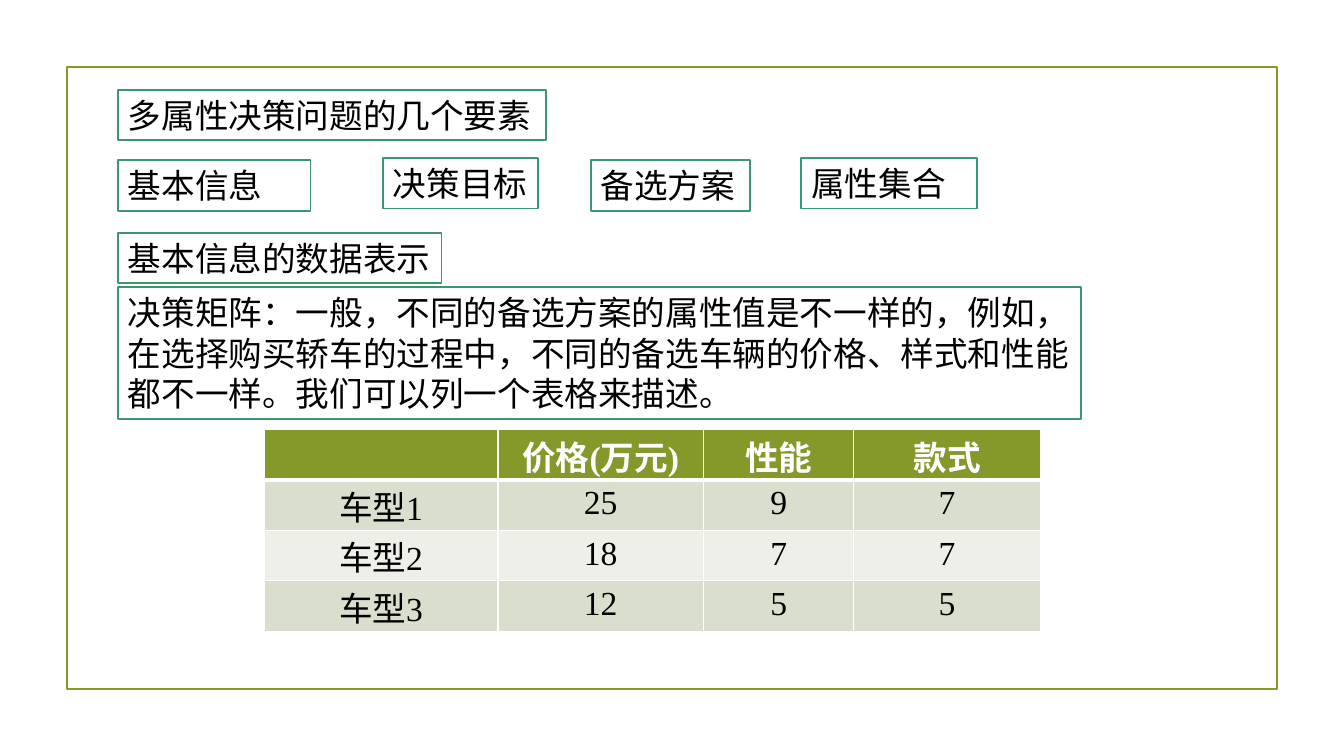
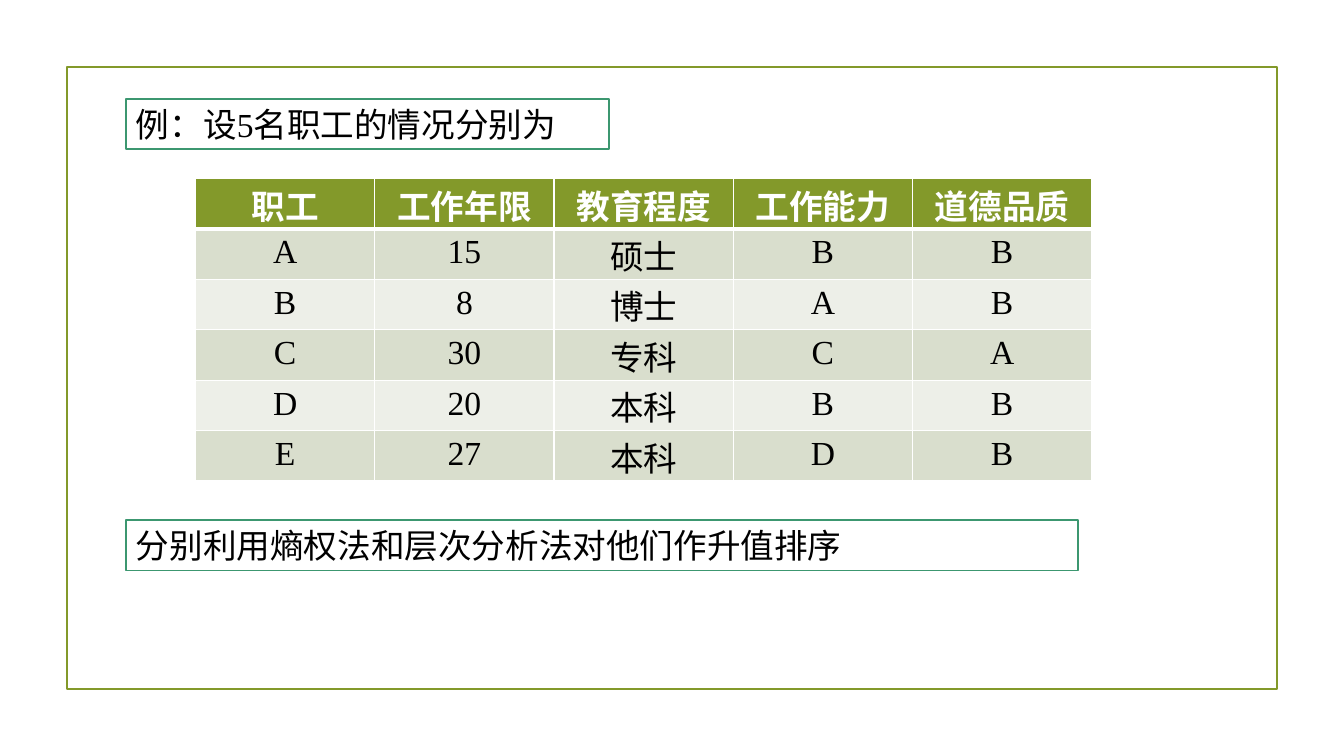
from pptx import Presentation
from pptx.dml.color import RGBColor
from pptx.enum.shapes import MSO_SHAPE
from pptx.enum.text import MSO_ANCHOR, PP_ALIGN
from pptx.oxml import parse_xml
from pptx.oxml.ns import nsdecls
from pptx.util import Inches, Pt

WIDE, HIGH = Inches(13.333), Inches(7.5)
HUES = {
    "olive": "83992A", "teal": "3C9770", "white": "FFFFFF",
    "black": "000000", "dark": "D9DECD", "light": "EDEFE8",
}
FONT = {"size": Pt(24), "name": "Times New Roman", "bold": False}
SANS = {**FONT, "name": "Noto Sans CJK JP"}
HEAD = {**FONT, "bold": True}
WRAP = {"word_wrap": True, "vertical_anchor": MSO_ANCHOR.TOP}
PLAIN = {"first_row": False, "horz_banding": False}
LOW = {"margin_top": Inches(0.1), "margin_bottom": 0}
PITCH = Pt(28.8)
LINE = 6.67

TOP = [
    ("多属性决策问题的几个要素", 8.78, 11.87, 31.88, LINE, FONT),
    ("决策目标", 28.5, 20.93, 11.55, LINE, FONT),
    ("备选方案", 43.95, 21.2, 11.85, LINE, FONT),
    ("属性集合", 59.62, 20.93, 13.05, LINE, FONT),
    ("基本信息", 8.78, 21.2, 14.33, LINE, SANS),
    ("基本信息的数据表示", 8.78, 30.8, 24.08, LINE, FONT),
    ("决策矩阵：一般，不同的备选方案的属性值是不一样的，例如，"
     "在选择购买轿车的过程中，不同的备选车辆的价格、样式和性能"
     "都不一样。我们可以列一个表格来描述。", 8.78, 38, 71.64, 17.47, FONT),
]
CARS = [
    ["", "价格(万元)", "性能", "款式"],
    ["车型1", "25", "9", "7"],
    ["车型2", "18", "7", "7"],
    ["车型3", "12", "5", "5"],
]
TASK = [
    ("例：设5名职工的情况分别为", 9.38, 13.07, 35.93, LINE, FONT),
    ("分别利用熵权法和层次分析法对他们作升值排序", 9.38, 68.8, 70.82, LINE, FONT),
]
STAFF = [
    ["职工", "工作年限", "教育程度", "工作能力", "道德品质"],
    ["A", "15", "硕士", "B", "B"],
    ["B", "8", "博士", "A", "B"],
    ["C", "30", "专科", "C", "A"],
    ["D", "20", "本科", "B", "B"],
    ["E", "27", "本科", "D", "B"],
]


def hue(name):
    """Return the named colour."""
    return RGBColor.from_string(HUES[name])


def across(share):
    """Turn a percentage of the slide's width into a length."""
    return round(WIDE * share / 100)


def down(share):
    """Turn a percentage of the slide's height into a length."""
    return round(HIGH * share / 100)


def apply(thing, look):
    """Set every attribute in a dict of format values."""
    for key, val in look.items():
        setattr(thing, key, val)


def rect(slide, x, y, w, h, edge):
    """Draw an outlined rectangle without a shadow."""
    shape = slide.shapes.add_shape(
        MSO_SHAPE.RECTANGLE, across(x), down(y), across(w), down(h))
    shape.shadow.inherit = False
    shape.line.color.rgb = hue(edge)
    shape.line.width = Pt(1.25)
    return shape


def write(para, text, look, tint, align):
    """Fill a paragraph with one styled run."""
    run = para.add_run()
    run.text = text
    apply(run.font, look)
    run.font.color.rgb = hue(tint)
    para.alignment = align
    if not text.isascii():
        para.line_spacing = PITCH


def label(slide, text, x, y, w, h, look):
    """Draw a white text box with a teal edge."""
    shape = rect(slide, x, y, w, h, "teal")
    shape.fill.solid()
    shape.fill.fore_color.rgb = hue("white")
    apply(shape.text_frame, WRAP)
    write(shape.text_frame.paragraphs[0], text, look, "black", PP_ALIGN.LEFT)


def rule(cell, row):
    """Give a cell white borders, thick below the header row."""
    thick = {("T", 1), ("B", 0)}
    props = cell._tc.get_or_add_tcPr()
    for side in "LRTB":
        width = Pt(3 if (side, row) in thick else 1)
        props.append(parse_xml(
            f'<a:ln{side} {nsdecls("a")} w="{width}"><a:solidFill>'
            f'<a:srgbClr val="{HUES["white"]}"/></a:solidFill></a:ln{side}>'))


def paint(cell, text, row):
    """Style one table cell according to its row."""
    rule(cell, row)
    cell.fill.solid()
    band = "dark" if row % 2 else "light"
    cell.fill.fore_color.rgb = hue(band if row else "olive")
    if text:
        if not text.isascii():
            apply(cell, LOW)
        look, tint = (FONT, "black") if row else (HEAD, "white")
        para = cell.text_frame.paragraphs[0]
        write(para, text, look, tint, PP_ALIGN.CENTER)


def grid(slide, data, x, y, cols):
    """Add a banded table with column widths in percent."""
    table = slide.shapes.add_table(
        len(data), len(cols), across(x), down(y),
        across(sum(cols)), down(LINE) * len(data)).table
    apply(table, PLAIN)
    for col, share in zip(table.columns, cols):
        col.width = across(share)
    for i, line in enumerate(data):
        table.rows[i].height = down(LINE)
        for j, text in enumerate(line):
            paint(table.cell(i, j), text, i)


def frame(slide):
    """Put the olive frame on the layout that the slides share."""
    shape = rect(slide, 5, 8.9, 90, 82.3, "olive")
    shape.fill.background()
    slide.slide_layout.shapes.element.append(shape.element)


def main():
    """Build both slides and save them."""
    deck = Presentation()
    apply(deck, {"slide_width": WIDE, "slide_height": HIGH})
    blank = deck.slide_layouts[6]
    first, second = [deck.slides.add_slide(blank) for _ in range(2)]
    frame(first)
    for slide, items in ((first, TOP), (second, TASK)):
        for item in items:
            label(slide, *item)
    grid(first, CARS, 19.65, 56.8, [17.4, 15.3, 11.18, 13.88])
    grid(second, STAFF, 14.55, 23.6, [13.34] * 5)
    deck.save("out.pptx")


if __name__ == "__main__":
    main()
